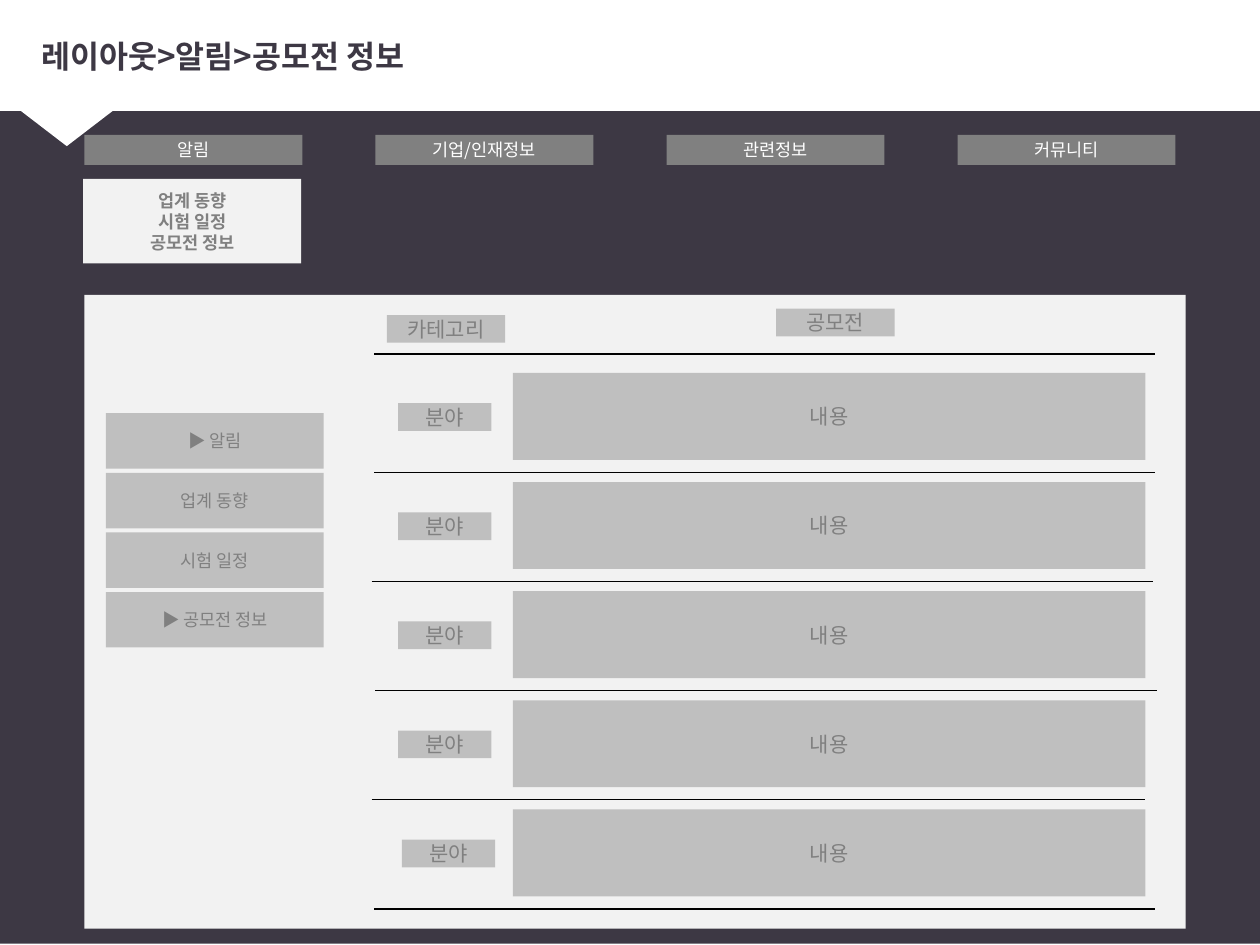
import pptx
import pptx.util
import pptx.dml.color
import pptx.enum.shapes
import pptx.enum.text
import pptx.oxml
import pptx.oxml.ns

RGB = pptx.dml.color.RGBColor
DARK = RGB(0x3D, 0x38, 0x44)
WHITE = RGB(0xFF, 0xFF, 0xFF)
BLACK = RGB(0, 0, 0)
GRAY = RGB(0x80, 0x80, 0x80)
SILVER = RGB(0xBF, 0xBF, 0xBF)
PALE = RGB(0xF2, 0xF2, 0xF2)
FONT = "Noto Sans CJK KR"
SHAPE = pptx.enum.shapes.MSO_SHAPE
ALIGN = pptx.enum.text.PP_ALIGN
inch = pptx.util.Inches


def set_text(sp, text, size, color, bold=False, align=ALIGN.CENTER):
    tf = sp.text_frame
    tf.word_wrap = True
    tf.vertical_anchor = pptx.enum.text.MSO_ANCHOR.MIDDLE
    tf.text = text
    for p in tf.paragraphs:
        p.alignment = align
        for r in p.runs:
            r.font.size = pptx.util.Pt(size)
            r.font.bold = bold
            r.font.name = FONT
            r.font.color.rgb = color
            ea = pptx.oxml.parse_xml(
                '<a:ea %s typeface="%s"/>' % (pptx.oxml.ns.nsdecls("a"), FONT))
            r.font._element.find(pptx.oxml.ns.qn("a:latin")).addnext(ea)


def add_box(s, x, y, w, h, fill, text="", size=12, color=GRAY, bold=False,
            kind=SHAPE.RECTANGLE):
    sp = s.shapes.add_shape(kind, inch(x), inch(y), inch(w), inch(h))
    sp.shadow.inherit = False
    sp.fill.solid()
    sp.fill.fore_color.rgb = fill
    sp.line.fill.background()
    if text:
        set_text(sp, text, size, color, bold)
    return sp


def add_rule(s, x1, x2, y):
    line = s.shapes.add_connector(
        pptx.enum.shapes.MSO_CONNECTOR.STRAIGHT, inch(x1), inch(y), inch(x2), inch(y))
    line.line.color.rgb = BLACK
    line.line.width = pptx.util.Pt(0.75)
    line._element.spPr.append(pptx.oxml.parse_xml(
        "<a:effectLst %s/>" % pptx.oxml.ns.nsdecls("a")))


def header(s, x, y, w, h, title):
    add_box(s, x, y, w, h, WHITE)
    notch = add_box(s, x - 0.2, y + 0.6, 1.46, 0.56, WHITE, kind=SHAPE.ISOSCELES_TRIANGLE)
    notch.rotation = 180
    sp = s.shapes.add_textbox(inch(x + 0.23), inch(y + 0.13), inch(w - 0.34), inch(0.62))
    set_text(sp, title, 18, DARK, True, ALIGN.LEFT)


def menu(s, x, y, pitch, w, items, submenu):
    for i, item in enumerate(items):
        add_box(s, x + i * pitch, y, w, 0.24, GRAY, item, 10, WHITE)
    add_box(s, x - 0.01, y + 0.35, w, 0.67, PALE, "\n".join(submenu), 10, bold=True)


def sidebar(s, x, y, pitch, w, items):
    for i, item in enumerate(items):
        add_box(s, x, y + i * pitch, w, 0.44, SILVER, item, 10)


def contest_list(s, x, y, pitch, rows):
    add_box(s, x + 0.1, y - 0.31, 0.94, 0.22, SILVER, "카테고리")
    add_box(s, x + 3.19, y - 0.36, 0.94, 0.22, SILVER, "공모전")
    add_rule(s, x, x + 6.2, y)
    rule_ends = [(0, 6.2), (-0.02, 6.18), (0.01, 6.21), (-0.02, 6.12), (0, 6.2)]
    for i, (start, end) in zip(range(rows), rule_ends):
        top = y + 0.15 + i * pitch
        indent = 0.22 if i == rows - 1 else 0.19
        add_box(s, x + indent, top + 0.24, 0.74, 0.22, SILVER, "분야")
        add_box(s, x + 1.1, top, 5.02, 0.69, SILVER, "내용")
        add_rule(s, x + start, x + end, top + 0.79)


def contents(s, x, y, w, h):
    add_box(s, x, y, w, h, PALE)
    sidebar(s, x + 0.17, y + 0.94, 0.473, 1.73,
            ["▶ 알림", "업계 동향", "시험 일정", "▶ 공모전 정보"])
    contest_list(s, x + 2.3, y + 0.47, 0.866, 5)


prs = pptx.Presentation()
prs.slide_width, prs.slide_height = inch(10), inch(7.5)
s = prs.slides.add_slide(prs.slide_layouts[6])
add_box(s, 0, 0, 10, 7.49, DARK)
header(s, 0, 0, 10, 0.88, "레이아웃>알림>공모전 정보")
menu(s, 0.67, 1.07, 2.31, 1.73, ["알림", "기업/인재정보", "관련정보", "커뮤니티"],
     ["업계 동향", "시험 일정", "공모전 정보"])
contents(s, 0.67, 2.34, 8.74, 5.03)
prs.save("out.pptx")
